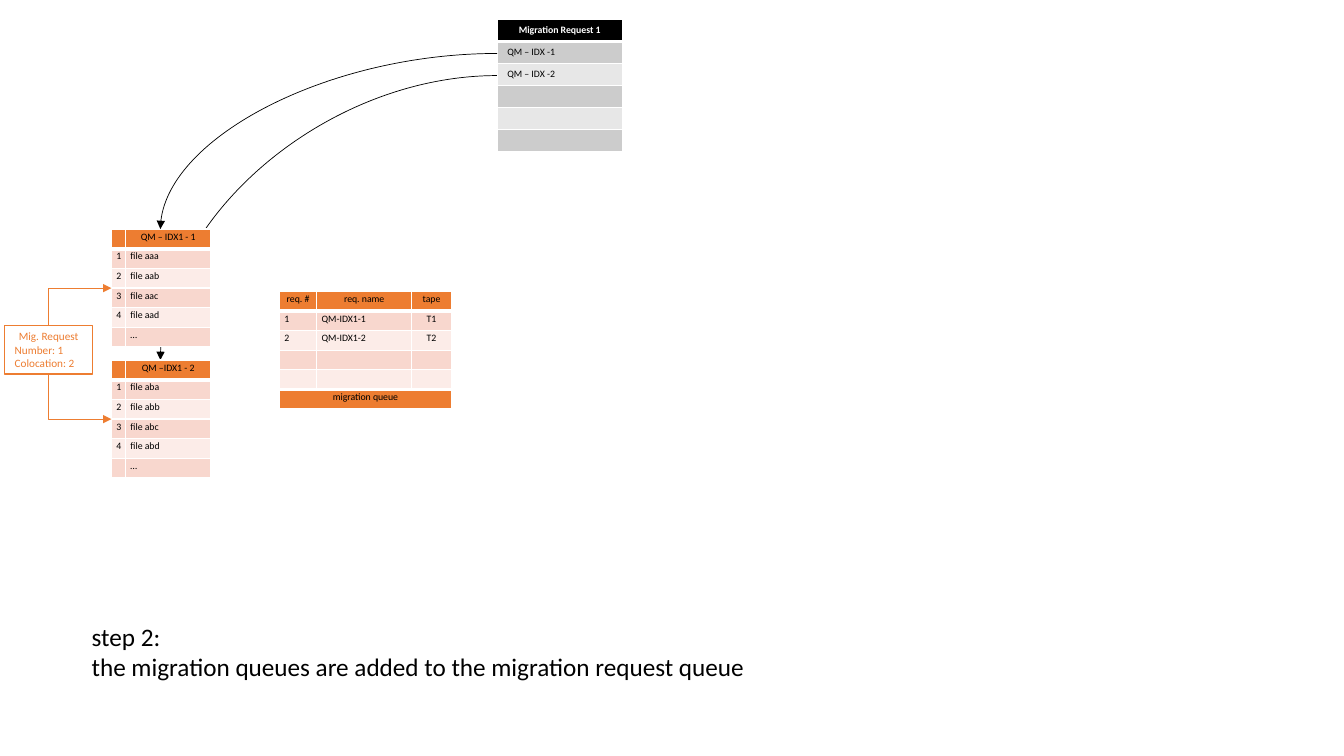
from lxml import etree
from pptx import Presentation
from pptx import util as u
from pptx.dml.color import RGBColor
from pptx.enum import shapes, text
from pptx.oxml.ns import qn

FONT = "Calibri"
BLACK, WHITE, ORANGE = "000000", "FFFFFF", "ED7D31"
ORANGE_BANDS = ("F8D7CE", "FCECE8")
GREY_BANDS = ("CCCCCC", "E7E7E7")
ALIGN = {"l": text.PP_ALIGN.LEFT, "c": text.PP_ALIGN.CENTER}


def rgb(value):
    """Turn a hex string into a colour."""
    return RGBColor.from_string(value)


def write(p, words, size=7, color=BLACK, bold=False, align="l"):
    """Put formatted text into a paragraph; an empty one keeps its size."""
    p.alignment = ALIGN[align]
    if not words:
        p._p.get_or_add_endParaRPr().set("sz", str(size * 100))
        return
    r = p.add_run()
    r.text = words
    r.font.name, r.font.size, r.font.bold = FONT, u.Pt(size), bold
    r.font.color.rgb = rgb(color)


def write_lines(tf, lines, **fmt):
    """Write (words, alignment) pairs as paragraphs of a text frame."""
    for i, (words, align) in enumerate(lines):
        p = tf.add_paragraph() if i else tf.paragraphs[0]
        write(p, words, align=align, **fmt)


def add_borders(cell, top, bottom):
    """Give a cell white borders, with chosen top and bottom widths."""
    tcPr = cell._tc.get_or_add_tcPr()
    for tag, width in (("lnL", 1), ("lnR", 1), ("lnT", top), ("lnB", bottom)):
        ln = etree.SubElement(tcPr, qn("a:" + tag), w=str(u.Pt(width)))
        fill = etree.SubElement(ln, qn("a:solidFill"))
        etree.SubElement(fill, qn("a:srgbClr"), val=WHITE)


def add_grid(s, x, y, widths, row_height, rows, aligns, bands=ORANGE_BANDS,
             head=ORANGE, head_color=BLACK, head_bold=False, margins=(3.6, 1.44),
             footer=False):
    """Add a banded table; the last row may be a merged footer."""
    frame = s.shapes.add_table(len(rows), len(widths), u.Pt(x), u.Pt(y),
                               u.Pt(sum(widths)), u.Pt(row_height * len(rows)))
    table = frame.table
    for column, width in zip(table.columns, widths):
        column.width = u.Pt(width)
    thick = {0, len(rows) - 2} if footer else {0}
    for i, row in enumerate(rows):
        table.rows[i].height = u.Pt(row_height)
        special = i == 0 or (footer and i == len(rows) - 1)
        for j, words in enumerate(row):
            cell = table.cell(i, j)
            cell.margin_left = cell.margin_right = u.Pt(margins[0])
            cell.margin_top = cell.margin_bottom = u.Pt(margins[1])
            add_borders(cell, 3 if i - 1 in thick else 1, 3 if i in thick else 1)
            cell.fill.solid()
            cell.fill.fore_color.rgb = rgb(head if special else bands[(i - 1) % 2])
            write(cell.text_frame.paragraphs[0], words,
                  color=head_color if special else BLACK,
                  bold=head_bold and special, align="c" if special else aligns[j])
    if footer:
        table.cell(len(rows) - 1, 0).merge(table.cell(len(rows) - 1, len(widths) - 1))


def add_arrow(s, kind, preset, x1, y1, x2, y2, color, rot=0):
    """Add a one-bend connector with a triangle at its end."""
    c = s.shapes.add_connector(kind, u.Pt(x1), u.Pt(y1), u.Pt(x2), u.Pt(y2))
    c.line.color.rgb, c.line.width = rgb(color), u.Pt(0.5)
    spPr = c._element.spPr
    spPr.find(qn("a:prstGeom")).set("prst", preset)
    if rot:
        spPr.find(qn("a:xfrm")).set("rot", str(rot * 60000))
    etree.SubElement(spPr.find(qn("a:ln")), qn("a:tailEnd"), type="triangle")
    etree.SubElement(spPr, qn("a:effectLst"))


def add_curve(s, x1, y1, x2, y2):
    """Add a curve that leaves sideways and arrives vertically."""
    add_arrow(s, shapes.MSO_CONNECTOR.CURVE, "curvedConnector2",
              x1, y1, x2, y2, BLACK)


def add_elbow(s, x1, y1, x2, y2):
    """Add an elbow that leaves vertically and arrives from the left."""
    cx, cy = (x1 + x2) / 2, (y1 + y2) / 2
    half_w, half_h = abs(y2 - y1) / 2, (x2 - x1) / 2
    rot = 90
    if y2 > y1:
        half_h, rot = -half_h, 270
    add_arrow(s, shapes.MSO_CONNECTOR.ELBOW, "bentConnector2",
              cx + half_w, cy + half_h, cx - half_w, cy - half_h, ORANGE, rot)


def add_request_box(s, x, y, w, h):
    """Add the outlined box that describes the migration request."""
    sp = s.shapes.add_shape(shapes.MSO_SHAPE.RECTANGLE,
                            u.Pt(x), u.Pt(y), u.Pt(w), u.Pt(h))
    sp.shadow.inherit = False
    sp.fill.solid()
    sp.fill.fore_color.rgb = rgb(WHITE)
    sp.line.color.rgb, sp.line.width = rgb(ORANGE), u.Pt(1)
    sp.text_frame.vertical_anchor = text.MSO_ANCHOR.MIDDLE
    write_lines(sp.text_frame, [("Mig. Request", "c"), ("Number: 1", "l"),
                                ("Colocation: 2", "l")], size=8, color=ORANGE)


def add_caption(s, x, y, w, h, lines):
    """Add the unwrapped caption of the step."""
    tf = s.shapes.add_textbox(u.Pt(x), u.Pt(y), u.Pt(w), u.Pt(h)).text_frame
    tf.word_wrap = False
    tf.auto_size = text.MSO_AUTO_SIZE.SHAPE_TO_FIT_TEXT
    write_lines(tf, [(line, "l") for line in lines], size=18)


def add_index(s, y, title, prefix):
    """Add one index table with its four files."""
    files = [(str(n), f"file {prefix}{c}") for n, c in enumerate("abcd", 1)]
    add_grid(s, 79.5, y, (9.3, 61.2), 14.05,
             [("", title), *files, ("", "…")], "ll")


def main():
    """Build the slide and save it."""
    prs = Presentation()
    prs.slide_width, prs.slide_height = u.Pt(960), u.Pt(540)
    s = prs.slides.add_slide(prs.slide_layouts[6])

    request_x, index_x = 355.2, 114.6
    index_1_y, index_2_y = 163.6, 257.2
    add_curve(s, request_x, 54, index_x, index_2_y)
    add_index(s, index_2_y, "QM –IDX1 - 2", "ab")
    add_index(s, index_1_y, "QM – IDX1 - 1", "aa")

    add_request_box(s, 3.4, 232.6, 62.8, 34.6)
    add_elbow(s, 34.8, 232.6, 79.5, 205.8)
    add_elbow(s, 34.8, 267.2, 79.5, 299.4)

    add_grid(s, 199.6, 208, (26.6, 67.9, 28.4), 14.05,
             [("req. #", "req. name", "tape"),
              ("1", "QM-IDX1-1", "T1"),
              ("2", "QM-IDX1-2", "T2"),
              ("",) * 3, ("",) * 3,
              ("migration queue", "", "")], "llc", footer=True)
    add_grid(s, request_x, 13.9, (89.2,), 15.7,
             [("Migration Request 1",), ("QM – IDX -1",), ("QM – IDX -2",),
              ("",), ("",), ("",)], "l", bands=GREY_BANDS, head=BLACK,
             head_color=WHITE, head_bold=True, margins=(7.2, 3.6))
    add_curve(s, request_x, 38.2, index_x, index_1_y)

    add_caption(s, 58.4, 440, 487.4, 50.9,
                ["step 2:",
                 "the migration queues are added to the migration request queue"])
    prs.save("out.pptx")


main()
